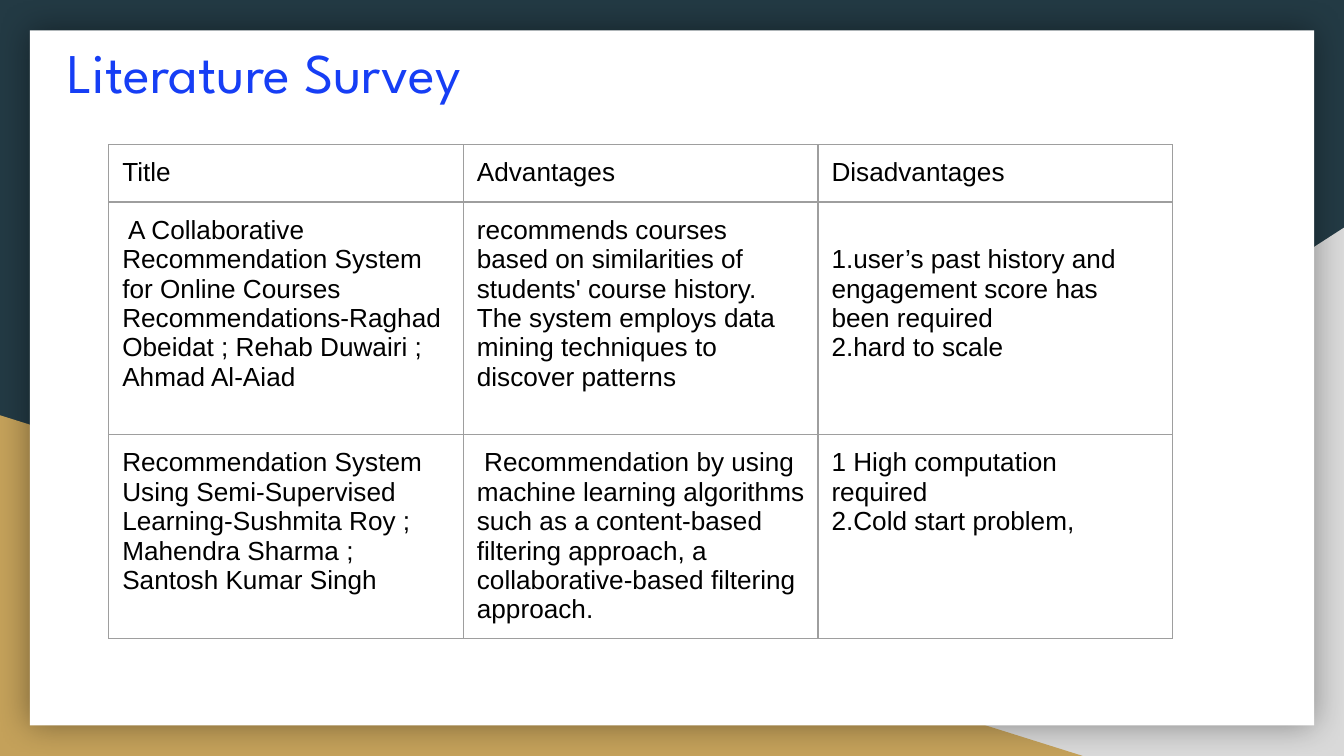
from lxml.etree import SubElement
from pptx import Presentation
from pptx.dml.color import RGBColor
from pptx.enum.shapes import MSO_SHAPE
from pptx.enum.text import MSO_ANCHOR, PP_ALIGN
from pptx.oxml.ns import qn
from pptx.util import Pt

COLORS = {
    "back": "233A44", "grey": "D9D9D9", "gold": "C4A15A", "card": "FFFFFF",
    "title": "163EF5", "text": "000000", "line": "9E9E9E", "shade": "000000",
}
PAD = 7.2
LEFT, COL = 58.3, 190

HEADS = ["Title", "Advantages", "Disadvantages"]
PAPERS = [
    [
        " A Collaborative Recommendation System for Online Courses "
        "Recommendations-Raghad Obeidat ; Rehab Duwairi ; Ahmad Al-Aiad",
        "recommends courses based on similarities of students' course history. "
        "The system employs data mining techniques to discover patterns",
        "1.user’s past history and engagement score has been required\n"
        "2.hard to scale",
    ],
    [
        "Recommendation System Using Semi-Supervised Learning-Sushmita Roy ; "
        "Mahendra Sharma ; Santosh Kumar Singh",
        " Recommendation by using machine learning algorithms such as a "
        "content-based filtering approach, a collaborative-based filtering approach.",
        "1 High computation required\n2.Cold start problem,",
    ],
]


class Deck:
    def __init__(self):
        self.prs = Presentation()
        self.prs.slide_width, self.prs.slide_height = Pt(720), Pt(405)
        self.slide = self.prs.slides.add_slide(self.prs.slide_layouts[5])
        self.paint(self.slide.background.fill, "back")

    def paint(self, fill, color):
        fill.solid()
        fill.fore_color.rgb = RGBColor.from_string(COLORS[color])

    def style(self, frame, font, size, color):
        for para in frame.paragraphs:
            para.alignment = PP_ALIGN.LEFT
            for run in para.runs:
                run.font.name, run.font.size = font, Pt(size)
                run.font.color.rgb = RGBColor.from_string(COLORS[color])

    def shape(self, kind, box, color, flip=False):
        shape = self.slide.shapes.add_shape(kind, *map(Pt, box))
        shape.shadow.inherit = False
        self.paint(shape.fill, color)
        shape.line.fill.background()
        if flip:
            shape._element.spPr.find(qn("a:xfrm")).set("flipH", "1")
        return shape

    def glow(self, shape, blur, alpha):
        """Put a soft shadow evenly around the shape."""
        effects = shape._element.spPr.find(qn("a:effectLst"))
        shadow = SubElement(effects, qn("a:outerShdw"), blurRad=str(Pt(blur)),
                            dist="0", dir="0", algn="ctr", rotWithShape="0")
        color = SubElement(shadow, qn("a:srgbClr"), val=COLORS["shade"])
        SubElement(color, qn("a:alpha"), val=str(alpha * 1000))

    def title(self, text, box):
        title = self.slide.shapes.title
        title.left, title.top, title.width, title.height = map(Pt, box)
        frame = title.text_frame
        frame.text = text
        frame.word_wrap = True
        frame.vertical_anchor = MSO_ANCHOR.MIDDLE
        frame.margin_left = frame.margin_right = Pt(PAD)
        frame.margin_top = frame.margin_bottom = Pt(PAD)
        self.style(frame, "League Spartan", 30, "title")
        self.slide.shapes._spTree.append(title._element)  # bring to front

    def border(self, cell):
        props = cell._tc.get_or_add_tcPr()
        for side in "LRTB":
            line = SubElement(props, qn(f"a:ln{side}"), w=str(Pt(0.75)))
            fill = SubElement(line, qn("a:solidFill"))
            SubElement(fill, qn("a:srgbClr"), val=COLORS["line"])

    def table(self, rows, top, heights):
        count = len(rows[0])
        box = map(Pt, (LEFT, top, COL * count, sum(heights)))
        table = self.slide.shapes.add_table(len(rows), count, *box).table
        table.first_row = table.horz_banding = False
        for col in table.columns:
            col.width = Pt(COL)
        for row, height, texts in zip(table.rows, heights, rows):
            row.height = Pt(height)
            for cell, text in zip(row.cells, texts):
                cell.text_frame.text = text
                cell.margin_left = cell.margin_right = Pt(PAD)
                cell.margin_top = cell.margin_bottom = Pt(PAD)
                self.border(cell)
                cell.fill.background()
                self.style(cell.text_frame, "Arial", 14, "text")
        return table


def main():
    deck = Deck()
    deck.shape(MSO_SHAPE.RIGHT_TRIANGLE, (282, 122, 438, 283), "grey", flip=True)
    deck.shape(MSO_SHAPE.RIGHT_TRIANGLE, (0, 222.5, 580, 182.5), "gold")
    card = deck.shape(MSO_SHAPE.RECTANGLE, (16, 16.3, 688, 372.4), "card")
    deck.glow(card, 18, 40)
    deck.title("Literature Survey", (28.8, 9.4, 551, 57))
    papers = deck.table(PAPERS, 108.4, (124.5, 109))
    papers.cell(0, 2).margin_top = Pt(PAD + 15.7)  # starts one line lower
    deck.table([HEADS], 77.5, (30.5,))
    deck.prs.save("out.pptx")


if __name__ == "__main__":
    main()
